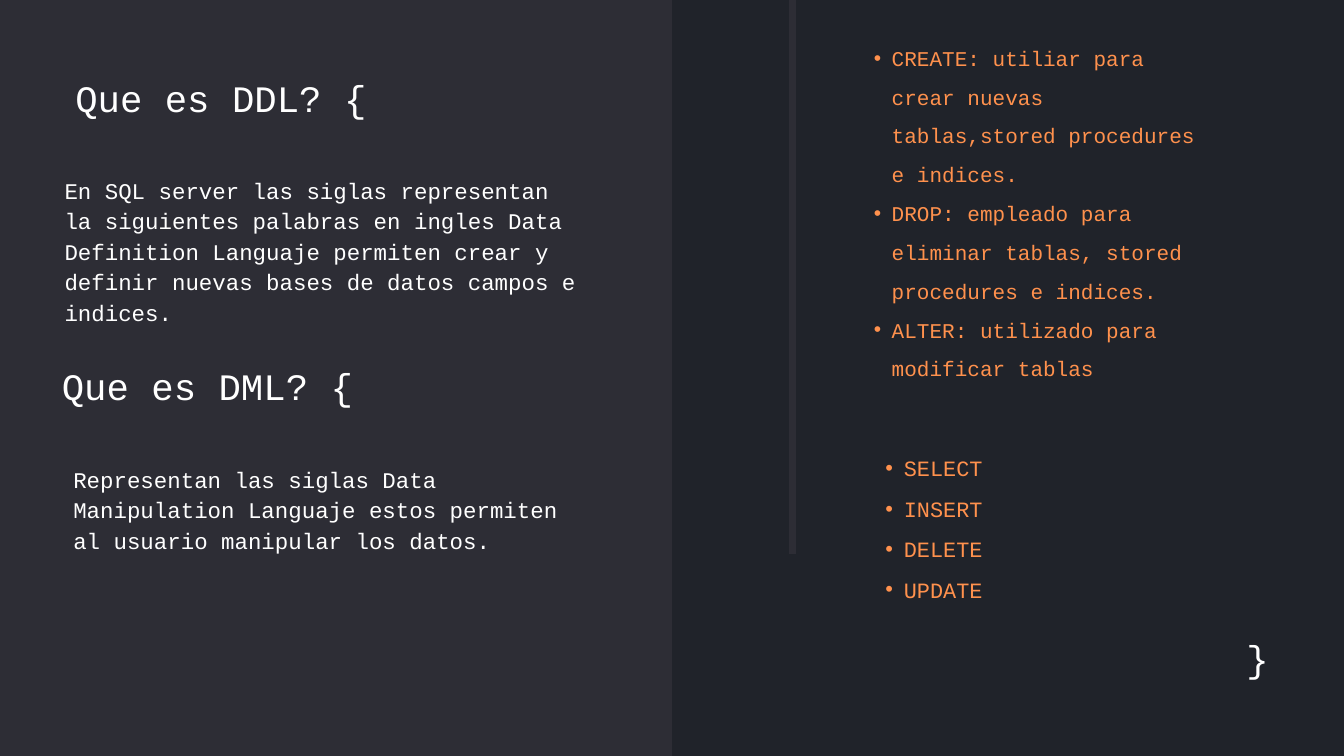
from lxml.etree import SubElement
from pptx import Presentation
from pptx.dml.color import RGBColor
from pptx.enum.shapes import MSO_CONNECTOR, MSO_SHAPE
from pptx.enum.text import MSO_ANCHOR, MSO_AUTO_SIZE, PP_ALIGN
from pptx.oxml.ns import qn
from pptx.util import Inches, Pt

DARK, PANEL, WHITE, ORANGE = "20232A", "2D2D35", "FFFFFF", "FF914D"
FONT = "Courier New"


def paint(color, value):
    color.rgb = RGBColor.from_string(value)


class Page:
    """Holds the style and the current slide."""

    def __init__(self, slide):
        self.slide = slide
        self.shapes = slide.shapes
        fill = slide.background.fill
        fill.solid()
        paint(fill.fore_color, DARK)

    def panel(self, x, y, w, h):
        """Adds a plain block behind the placeholders."""
        shape = self.shapes.add_shape(
            MSO_SHAPE.RECTANGLE, Inches(x), Inches(y), Inches(w), Inches(h))
        shape.shadow.inherit = False
        shape.fill.solid()
        paint(shape.fill.fore_color, PANEL)
        shape.line.fill.background()
        self.shapes.title.element.addprevious(shape.element)

    def rule(self, x, top, end):
        line = self.shapes.add_connector(
            MSO_CONNECTOR.STRAIGHT, Inches(x), Inches(top), Inches(x), Inches(end))
        line.line.width = Pt(7.5)
        paint(line.line.color, PANEL)
        SubElement(line.element.spPr, qn("a:effectLst"))

    def box(self):
        return self.shapes.add_textbox(0, 0, 0, 0)

    def holder(self, idx):
        return self.slide.placeholders[idx]

    def label(self, shape, place, text, size, lead, color=WHITE, align=PP_ALIGN.LEFT):
        """Places a shape and sets its text, one paragraph a line."""
        shape.left, shape.top, shape.width, shape.height = map(Inches, place)
        frame = shape.text_frame
        frame.word_wrap = True
        frame.auto_size = MSO_AUTO_SIZE.NONE
        frame.vertical_anchor = MSO_ANCHOR.TOP
        frame.margin_left = frame.margin_right = 0
        frame.margin_top = frame.margin_bottom = 0
        frame.text = text
        for para in frame.paragraphs:
            para.alignment = align
            para.line_spacing = Pt(lead)
            para.space_before = para.space_after = Pt(0)
            for run in para.runs:
                run.font.name = FONT
                run.font.size = Pt(size)
                run.font.bold = False
                paint(run.font.color, color)
        return frame

    def head(self, shape, place, text, align=PP_ALIGN.LEFT):
        self.label(shape, place, text, 40, 45.6, align=align)

    def body(self, shape, place, text):
        self.label(shape, place, text, 24, 32.6)

    def bullets(self, shape, place, items, size, lead, indent):
        frame = self.label(shape, place, "\n".join(items), size, lead, ORANGE)
        for para in frame.paragraphs:
            para.level = 1
            props = para._p.get_or_add_pPr()
            props.set("marL", str(Inches(indent)))
            props.set("indent", str(-Inches(indent / 2)))
            SubElement(props, qn("a:buFont"), typeface="Arial")
            SubElement(props, qn("a:buChar"), char="•")


def main():
    deck = Presentation()
    deck.slide_width, deck.slide_height = Inches(20), Inches(11.25)
    layout = deck.slide_layouts.get_by_name("Comparison")
    page = Page(deck.slides.add_slide(layout))

    page.panel(0, 0, 10, 11.25)
    page.rule(11.79, 0, 8.25)

    page.head(page.shapes.title, (1.12, 1.15, 7.69, 0.64), "Que es DDL? {")
    page.body(page.holder(1), (0.96, 2.58, 7.64, 2.24),
              "En SQL server las siglas representan la siguientes palabras en "
              "ingles Data Definition Languaje permiten crear y definir nuevas "
              "bases de datos campos e indices.")
    page.bullets(page.holder(2), (12.74, 0.47, 5.37, 5.15), [
        "CREATE: utiliar para crear nuevas tablas,stored procedures e indices.",
        "DROP: empleado para eliminar tablas, stored procedures e indices.",
        "ALTER: utilizado para modificar tablas",
    ], 22.5, 41.6, 0.53)

    page.head(page.box(), (0.92, 5.44, 7.69, 0.64), "Que es DML? {")
    page.body(page.holder(3), (1.09, 6.88, 7.64, 1.34),
              "Representan las siglas Data Manipulation Languaje estos permiten "
              "al usuario manipular los datos.")
    page.bullets(page.holder(4), (12.9, 6.56, 5.59, 2.35),
                 ["SELECT", "INSERT", "DELETE", "UPDATE"], 23.4, 43.3, 0.55)

    page.head(page.box(), (18.11, 9.49, 0.77, 0.64), "}", PP_ALIGN.RIGHT)

    deck.save("out.pptx")


if __name__ == "__main__":
    main()
